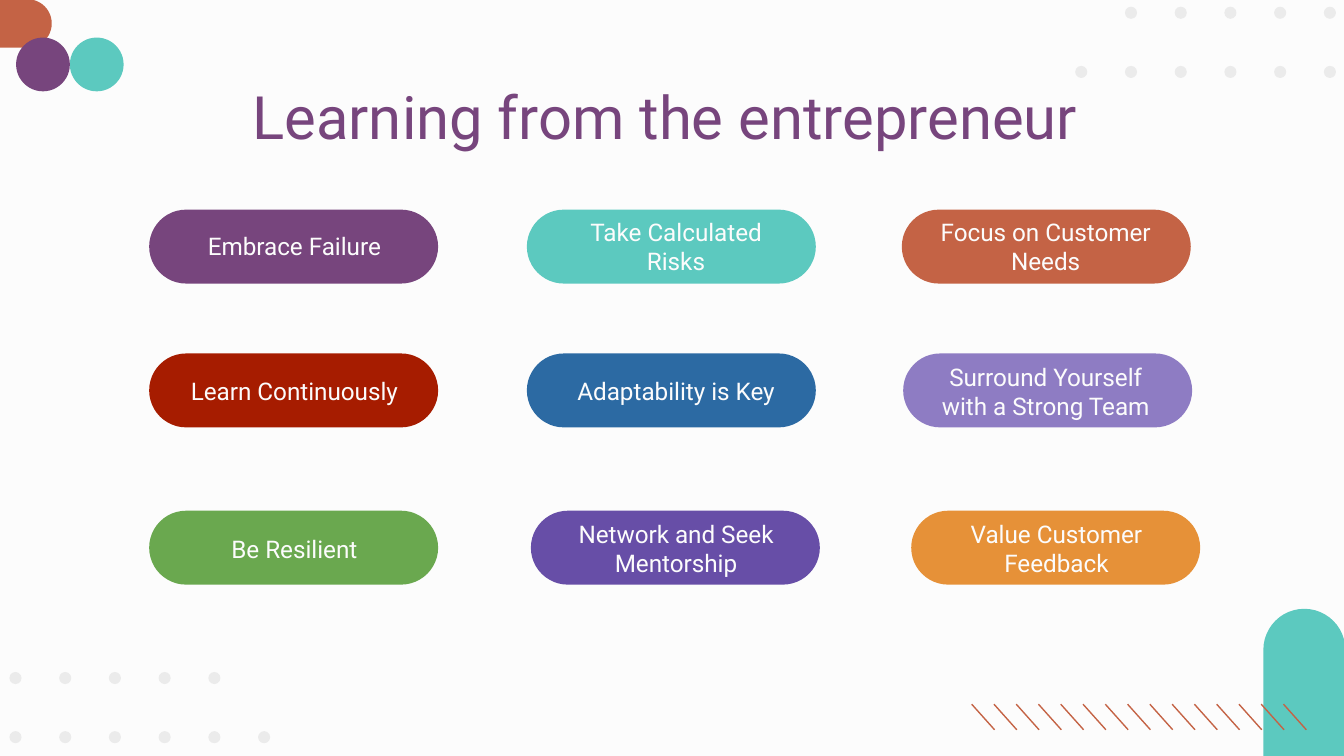
from dataclasses import dataclass

from lxml import etree
from pptx import Presentation
from pptx import util as u
from pptx.dml import color as col
from pptx.enum import shapes as sh, text as tx
from pptx.oxml import ns

FONT = "Roboto"
PLUM, TEAL, RUST = "77457D", "5CC9BF", "C46345"
PALE, GREY = "FCFCFC", "EBEBEB"
PILL_W, PILL_H = 2.15, 0.55
LABEL_W, LABEL_H = 1.84, 0.46
DOT, DOT_GAP = 0.09, 0.37
OVAL = sh.MSO_SHAPE.OVAL
ARCH = sh.MSO_SHAPE.ROUND_2_SAME_RECTANGLE


@dataclass
class Pill:
    text: str
    fill: str
    left: float
    label: float


@dataclass
class Row:
    top: float
    inset: float
    pills: list[Pill]


ROWS = [
    Row(1.56, 0.04, [
        Pill("Embrace Failure", PLUM, 1.11, 1.27),
        Pill("Take Calculated Risks", TEAL, 3.92, 4.11),
        Pill("Focus on Customer Needs", RUST, 6.71, 6.86),
    ]),
    Row(2.63, 0.05, [
        Pill("Learn Continuously", "A61C00", 1.11, 1.27),
        Pill("Adaptability is Key", "2C6AA3", 3.92, 4.11),
        Pill("Surround Yourself with a Strong Team", "8E7CC3", 6.72, 6.86),
    ]),
    Row(3.8, 0.05, [
        Pill("Be Resilient", "6AA84F", 1.11, 1.27),
        Pill("Network and Seek Mentorship", "674EA7", 3.95, 4.11),
        Pill("Value Customer Feedback", "E69138", 6.78, 6.94),
    ]),
]


def paint(fill, color: str) -> None:
    """Give a fill a solid colour."""
    fill.solid()
    fill.fore_color.rgb = col.RGBColor.from_string(color)


def block(kind, left: float, top: float, width: float, height: float,
          color: str, adj: tuple = (), turn: float = 0) -> None:
    """Draw a plain filled shape."""
    shape = slide.shapes.add_shape(
        kind, u.Inches(left), u.Inches(top), u.Inches(width), u.Inches(height))
    shape.shadow.inherit = False
    paint(shape.fill, color)
    shape.line.fill.background()
    for i, value in enumerate(adj):
        shape.adjustments[i] = value
    shape.rotation = turn


def dots(left: float, top: float, count: int) -> None:
    """Draw a row of evenly spaced dots."""
    for i in range(count):
        block(OVAL, left + i * DOT_GAP, top, DOT, DOT, GREY)


def slash(left: float, top: float, width: float, height: float) -> None:
    """Draw one thin slanted line."""
    line = slide.shapes.add_connector(
        sh.MSO_CONNECTOR.STRAIGHT, u.Inches(left), u.Inches(top),
        u.Inches(left + width), u.Inches(top + height))
    paint(line.line.fill, RUST)
    line.line.width = u.Pt(0.75)
    etree.SubElement(line._element.spPr, ns.qn("a:effectLst"))


def write(box, text: str, size: float, color: str, anchor) -> None:
    """Set centred text in a box."""
    frame = box.text_frame
    frame.text = text
    frame.word_wrap = True
    frame.auto_size = tx.MSO_AUTO_SIZE.NONE
    frame.vertical_anchor = anchor
    frame.margin_left = frame.margin_right = u.Inches(0.1)
    frame.margin_top = frame.margin_bottom = u.Inches(0.1)
    para = frame.paragraphs[0]
    para.alignment = tx.PP_ALIGN.CENTER
    font = para.runs[0].font
    font.name, font.size = FONT, u.Pt(size)
    paint(font.fill, color)


def draw(pill: Pill, row: Row) -> None:
    """Draw a pill and the label over it."""
    block(sh.MSO_SHAPE.ROUNDED_RECTANGLE, pill.left, row.top,
          PILL_W, PILL_H, pill.fill, (0.5,))
    label = slide.shapes.add_textbox(
        u.Inches(pill.label), u.Inches(row.top + row.inset),
        u.Inches(LABEL_W), u.Inches(LABEL_H))
    write(label, pill.text, 13, PALE, tx.MSO_ANCHOR.MIDDLE)


# Slide in 16:9
prs = Presentation()
prs.slide_width = u.Inches(10)
prs.slide_height = prs.slide_width * 9 // 16
slide = prs.slides.add_slide(prs.slide_layouts[5])
paint(slide.background.fill, PALE)

# Corner shapes
block(OVAL, 0.52, 0.28, 0.4, 0.4, TEAL)
block(ARCH, 0.01, -0.02, 0.36, 0.39, RUST, (0.5, 0), 90)
block(ARCH, 9.4, 4.53, 0.61, 1.11, TEAL, (0.5, 0))
block(OVAL, 0.12, 0.28, 0.4, 0.4, PLUM)

# Dot rows, bottom left and top right
dots(0.07, 5, 5)
dots(0.07, 5.44, 6)
dots(8.37, 0.05, 5)
dots(8, 0.49, 6)

# Slanted lines
for i in range(15):
    slash(7.23 + i * 2.32 / 14, 5.24, 0.17, 0.19)

# Title
title = slide.shapes.title
title.left, title.top = u.Inches(0.79), u.Inches(0.49)
title.width, title.height = u.Inches(8.43), u.Inches(0.63)
write(title, "Learning from the entrepreneur ", 32, PLUM, tx.MSO_ANCHOR.TOP)

# Lessons
for row in ROWS:
    for pill in row.pills:
        draw(pill, row)

prs.save("out.pptx")
